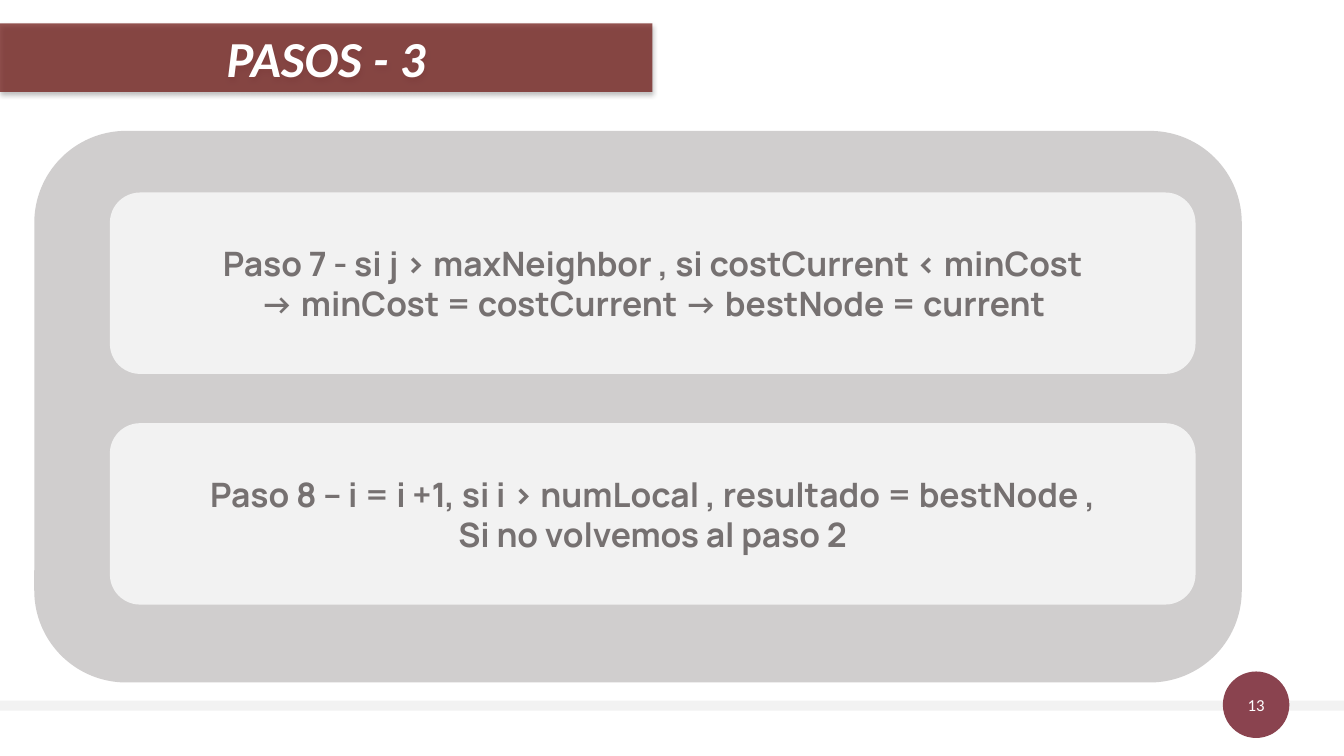
from lxml.etree import SubElement
from pptx import Presentation
from pptx.dml.color import RGBColor
from pptx.enum.shapes import MSO_SHAPE
from pptx.enum.text import MSO_ANCHOR, MSO_AUTO_SIZE, PP_ALIGN
from pptx.oxml import parse_xml
from pptx.oxml.ns import nsdecls, qn
from pptx.util import Pt

COLORS = {
    "banner": "731F1C",
    "panel": "D0CECE",
    "light": "F2F2F2",
    "badge": "8A434F",
    "text": "767171",
    "white": "FFFFFF",
    "shadow": "000000",
}
STEPS = [
    ["Paso 7 - si j > maxNeighbor , si costCurrent < minCost",
     "-> minCost = costCurrent -> bestNode = current"],
    ["Paso 8 – i = i +1, si i > numLocal , resultado = bestNode ,",
     "Si no volvemos al paso 2"],
]


def add_block(slide, kind, box, color):
    """Add a plain filled shape in the given box."""
    sp = slide.shapes.add_shape(kind, *map(Pt, box))
    sp.shadow.inherit = False
    sp.fill.solid()
    sp.fill.fore_color.rgb = RGBColor.from_string(COLORS[color])
    sp.line.fill.background()
    return sp


def write_lines(sp, lines, font, size, color, inset=0, bold=False, italic=False):
    """Write centred paragraphs that share one font."""
    tf = sp.text_frame
    tf.word_wrap = True
    tf.auto_size = MSO_AUTO_SIZE.NONE
    tf.vertical_anchor = MSO_ANCHOR.MIDDLE
    tf.margin_left = tf.margin_right = tf.margin_top = tf.margin_bottom = Pt(inset)
    tf.text = "\n".join(lines)
    for p in tf.paragraphs:
        p.alignment = PP_ALIGN.CENTER
        p.font.name = font
        p.font.size = Pt(size)
        p.font.bold = bold
        p.font.italic = italic
        p.font.color.rgb = RGBColor.from_string(COLORS[color])


def add_banner(slide, box, title):
    """Turn the title placeholder into a translucent banner with a shadow."""
    sp = slide.shapes.title
    sp.left, sp.top, sp.width, sp.height = map(Pt, box)
    sp.fill.solid()
    sp.fill.fore_color.rgb = RGBColor.from_string(COLORS["banner"])
    sp_pr = sp.element.spPr
    SubElement(sp_pr.find(".//" + qn("a:srgbClr")), qn("a:alpha"), val="76000")
    sp_pr.append(parse_xml(
        f'<a:effectLst {nsdecls("a")}>'
        f'<a:outerShdw blurRad="{Pt(3.5)}" dist="{Pt(2.2)}" dir="5400000" rotWithShape="0">'
        f'<a:srgbClr val="{COLORS["shadow"]}"><a:alpha val="32000"/></a:srgbClr>'
        '</a:outerShdw></a:effectLst>'))
    write_lines(sp, [title], "Calibri", 36, "white", 7.2, bold=True, italic=True)


def add_steps(slide, box, steps):
    """Draw the rounded panel with one card per step."""
    left, top, width, _ = box
    add_block(slide, MSO_SHAPE.ROUNDED_RECTANGLE, box, "panel")
    for i, lines in enumerate(steps):
        card = (left + 54, top + 44 + i * 164.8, width - 87, 129.6)
        sp = add_block(slide, MSO_SHAPE.ROUNDED_RECTANGLE, card, "light")
        write_lines(sp, lines, "Manrope", 24, "text", 5, bold=True)


def add_footer(slide, box, number):
    """Draw the footer strip and its round page number."""
    left, top, width, height = box
    size = 47.5
    add_block(slide, MSO_SHAPE.RECTANGLE, box, "light")
    badge = (left + width - 39 - size, top + (height - size) / 2 - 0.6, size, size)
    sp = add_block(slide, MSO_SHAPE.OVAL, badge, "badge")
    write_lines(sp, [number], "Calibri", 12, "white")


def main():
    """Build and save the slide."""
    prs = Presentation()
    prs.slide_width, prs.slide_height = Pt(960), Pt(540)
    slide = prs.slides.add_slide(prs.slide_layouts[5])
    add_footer(slide, (0, 500.4, 960, 7.2), "13")
    add_banner(slide, (0, 16.6, 466, 49), "PASOS - 3")
    add_steps(slide, (24.5, 93.5, 862.5, 394), STEPS)
    prs.save("out.pptx")


if __name__ == "__main__":
    main()
